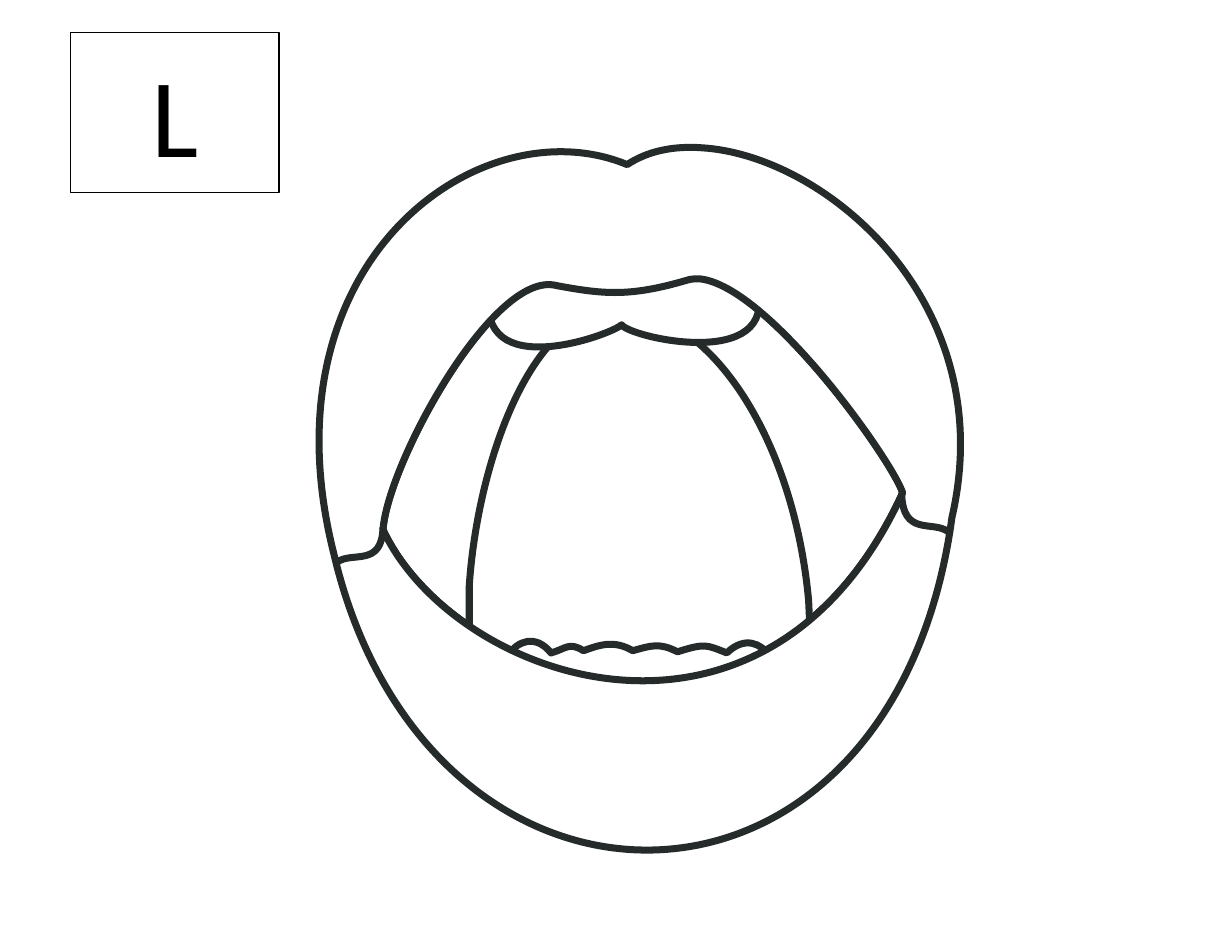
from dataclasses import dataclass

from lxml.etree import SubElement
from pptx import Presentation
from pptx.dml.color import RGBColor
from pptx.enum.shapes import MSO_SHAPE
from pptx.enum.text import MSO_ANCHOR, PP_ALIGN
from pptx.oxml.ns import qn
from pptx.util import Inches, Pt


@dataclass(frozen=True)
class Theme:
    paper: RGBColor = RGBColor(0xFF, 0xFF, 0xFF)
    black: RGBColor = RGBColor(0x00, 0x00, 0x00)
    ink: RGBColor = RGBColor(0x25, 0x2B, 0x2A)
    font: str = "Calibri"
    letter_size: Pt = Pt(72)
    thin: Pt = Pt(1)
    thick: Pt = Pt(4.5)


theme = Theme()


def sample(start, segments, steps=100):
    """Points along a contour, used to find its bounds."""
    points = [start]
    for segment in segments:
        if len(segment) == 6:
            x0, y0 = points[-1]
            x1, y1, x2, y2, x3, y3 = segment
            for step in range(1, steps):
                t = step / steps
                a, b, c, d = (1 - t) ** 3, 3 * t * (1 - t) ** 2, 3 * t * t * (1 - t), t ** 3
                points.append((a * x0 + b * x1 + c * x2 + d * x3,
                               a * y0 + b * y1 + c * y2 + d * y3))
        points.append(segment[-2:])
    return points


def paint(shape, line_color, line_width):
    shape.shadow.inherit = False
    shape.fill.solid()
    shape.fill.fore_color.rgb = theme.paper
    shape.line.color.rgb = line_color
    shape.line.width = line_width


prs = Presentation()
prs.slide_width, prs.slide_height = Inches(11), Inches(8.5)
slide = prs.slides.add_slide(prs.slide_layouts[6])

# Page
page = slide.shapes.add_shape(MSO_SHAPE.RECTANGLE, 0, 0, prs.slide_width, prs.slide_height)
paint(page, theme.paper, theme.thin)

# Letter card
card = slide.shapes.add_shape(
    MSO_SHAPE.RECTANGLE, Inches(0.63), Inches(0.29), Inches(1.86), Inches(1.43))
paint(card, theme.black, theme.thin)
card.text_frame.vertical_anchor = MSO_ANCHOR.MIDDLE
paragraph = card.text_frame.paragraphs[0]
paragraph.alignment = PP_ALIGN.CENTER
letter = paragraph.add_run()
letter.text = "L"
letter.font.name = theme.font
letter.font.size = theme.letter_size
letter.font.color.rgb = theme.black

# Contours of the mouth: start point, then lines (2 numbers) and curves (6)
opening = ((3.42, 4.73), [
    (3.46, 4.14, 4.41, 2.4, 4.97, 2.55), (5.4, 2.63, 5.63, 2.65, 6.14, 2.5),
    (6.71, 2.34, 7.97, 4.1, 8.06, 4.4), (6.84, 7.06, 4.05, 6.08, 3.42, 4.73)])
tongue = ((5.44, 2.77), [
    (6.28, 2.69, 7.08, 3.85, 7.22, 5.36), (7.23, 5.58), (7.23, 5.59),
    (6.29, 6.38, 5.07, 6.22, 4.23, 5.68), (4.19, 5.64), (4.19, 5.23),
    (4.26, 4.18, 4.71, 2.84, 5.44, 2.77)])
upper_teeth = ((4.4, 2.47), [
    (6.73, 2.47), (7.06, 3.34, 5.63, 3.02, 5.55, 2.9),
    (5.46, 2.99, 4.12, 3.48, 4.4, 2.47)])
lower_teeth = ((4.71, 6.15), [
    (4.26, 6.12, 4.64, 5.48, 4.92, 5.83), (5.06, 5.79, 5.08, 5.73, 5.21, 5.81),
    (5.35, 5.76, 5.48, 5.71, 5.65, 5.81), (5.83, 5.76, 5.89, 5.74, 6.05, 5.82),
    (6.3, 5.74, 6.31, 5.76, 6.49, 5.83), (6.81, 5.52, 7.09, 6.11, 6.79, 6.16),
    (5.92, 6.33, 5.44, 6.43, 4.71, 6.15)])
lips_outside = ((6.27, 1.32), [
    (7.38, 1.39, 8.94, 2.71, 8.5, 4.62), (7.97, 8.52, 3.82, 8.53, 2.98, 4.94),
    (2.32, 2.32, 4.3, 0.93, 5.6, 1.47), (5.78, 1.35, 6.01, 1.3, 6.27, 1.32)])
lips_inside = ((6.25, 2.49), [
    (6.21, 2.49, 6.17, 2.49, 6.14, 2.5), (5.63, 2.65, 5.4, 2.63, 4.97, 2.55),
    (4.41, 2.4, 3.46, 4.14, 3.42, 4.73), (4.05, 6.08, 6.84, 7.06, 8.06, 4.4),
    (7.97, 4.12, 6.87, 2.56, 6.25, 2.49)])
right_corner = ((8.05, 4.4), [(8.06, 4.8, 8.33, 4.64, 8.47, 4.75), (8.47, 4.75)])
left_corner = ((3.42, 4.71), [(3.41, 5.07, 3.14, 4.92, 3.01, 5.02), (3.01, 5.02)])

# Mouth, from back to front: contours and whether they close
mouth_parts = [
    ([opening], True),
    ([tongue], True),
    ([upper_teeth], True),
    ([lower_teeth], True),
    ([lips_outside, lips_inside], True),
    ([right_corner], False),
    ([left_corner], False),
]
mouth = []
for contours, closed in mouth_parts:
    # Frame the part by its bounds
    xs, ys = zip(*(point for contour in contours for point in sample(*contour)))
    left, top = min(xs), min(ys)
    builder = slide.shapes.build_freeform(Inches(left), Inches(top))
    builder.add_line_segments([(Inches(max(xs)), Inches(max(ys)))], close=False)
    part = builder.convert_to_shape()
    paint(part, theme.ink, theme.thick)

    # Draw its contours with true curves
    outline = next(part.element.iter(qn("a:path")))
    for placeholder in list(outline):
        outline.remove(placeholder)
    for start, segments in contours:
        for index, numbers in enumerate([start, *segments]):
            tag = "a:cubicBezTo" if len(numbers) == 6 else "a:lnTo" if index else "a:moveTo"
            command = SubElement(outline, qn(tag))
            for x, y in zip(numbers[::2], numbers[1::2]):
                SubElement(command, qn("a:pt"),
                           x=str(int(Inches(x - left))), y=str(int(Inches(y - top))))
        if closed:
            SubElement(outline, qn("a:close"))
    mouth.append(part)
slide.shapes.add_group_shape(mouth)

prs.save("out.pptx")
